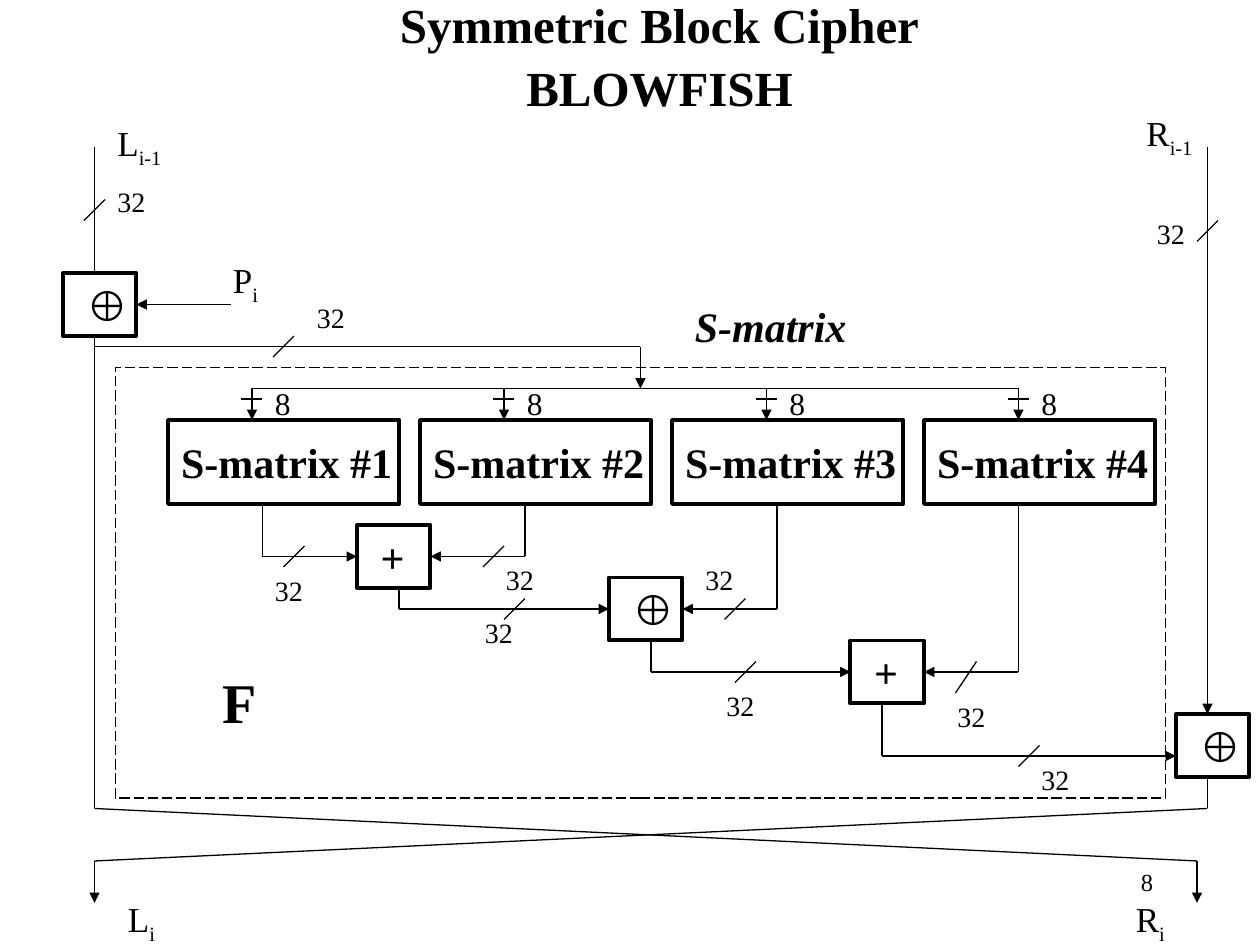
import pptx
import pptx.util
import pptx.dml.color
import pptx.enum.dml
import pptx.enum.shapes
import pptx.enum.text
import pptx.oxml.ns
from lxml import etree

PX = 9525
COLORS = {"ink": "000000", "paper": "FFFFFF"}
INK = pptx.dml.color.RGBColor.from_string(COLORS["ink"])
SERIF = "Times New Roman"
ALIGN = pptx.enum.text.PP_ALIGN
qn = pptx.oxml.ns.qn

prs = pptx.Presentation()
prs.slide_width, prs.slide_height = 960 * PX, 720 * PX
s = prs.slides.add_slide(prs.slide_layouts[5])
s.background.fill.solid()
s.background.fill.fore_color.rgb = pptx.dml.color.RGBColor.from_string(COLORS["paper"])


def add_text(x, y, w, h, text, size, sub="", bold=False, italic=False, align=ALIGN.LEFT):
    sp = s.shapes.add_textbox(x * PX, y * PX, w * PX, h * PX)
    sp.text_frame.word_wrap = True
    p = sp.text_frame.paragraphs[0]
    p.text = text
    p.alignment = align
    if sub:
        r = p.add_run()
        r.text = sub
        r._r.get_or_add_rPr().set("baseline", "-25000")
    for r in p.runs:
        r.font.name, r.font.size, r.font.color.rgb = SERIF, pptx.util.Pt(size), INK
        r.font.bold, r.font.italic = bold, italic


def add_path(*points, arrow=False):
    for (x1, y1), (x2, y2) in zip(points, points[1:]):
        c = s.shapes.add_connector(pptx.enum.shapes.MSO_CONNECTOR.STRAIGHT,
                                   x1 * PX, y1 * PX, x2 * PX, y2 * PX)
        c.line.color.rgb, c.line.width = INK, pptx.util.Pt(0.75)
        etree.SubElement(c._element.spPr, qn("a:effectLst"))
    if arrow:
        etree.SubElement(c.line._get_or_add_ln(), qn("a:tailEnd"), type="triangle")


title = s.shapes.title
title.left, title.top, title.width, title.height = 295 * PX, 0, 415 * PX, 93 * PX
tf = title.text_frame
tf.text = "Symmetric Block Cipher\nBLOWFISH"
tf.auto_size = pptx.enum.text.MSO_AUTO_SIZE.NONE
tf.vertical_anchor = pptx.enum.text.MSO_ANCHOR.TOP
tf.word_wrap = False
for p in tf.paragraphs:
    p.alignment, p.line_spacing = ALIGN.CENTER, 0.8
    f = p.runs[0].font
    f.name, f.size, f.bold, f.color.rgb = SERIF, pptx.util.Pt(28), True, INK
tf.paragraphs[1].space_before = pptx.util.Pt(8.8)

boxes = [(128 + 192 * i, 320, 176, 64, f"S-matrix #{i + 1}", SERIF, 10) for i in range(4)]
operators = [(48, 208, "⊕"), (272, 400, "+"), (464, 440, "⊕"), (648, 488, "+"), (896, 544, "⊕")]
boxes += [(x, y, 56, 48, sign, "Arial" if sign == "⊕" else SERIF, 18) for x, y, sign in operators]
boxes.append((88, 280, 800, 328, "", SERIF, 10))
for x, y, w, h, text, font, inset in boxes:
    sp = s.shapes.add_shape(pptx.enum.shapes.MSO_SHAPE.RECTANGLE, x * PX, y * PX, w * PX, h * PX)
    sp.shadow.inherit = False
    sp.fill.background()
    sp.line.color.rgb = INK
    if not text:
        sp.line.width = pptx.util.Pt(0.75)
        sp.line.dash_style = pptx.enum.dml.MSO_LINE.LONG_DASH
        continue
    sp.line.width = pptx.util.Pt(2.25)
    tf = sp.text_frame
    tf.word_wrap = True
    tf.vertical_anchor = pptx.enum.text.MSO_ANCHOR.MIDDLE
    tf.margin_left, tf.margin_right = inset * PX, 0
    p = tf.paragraphs[0]
    p.text = text
    p.alignment = ALIGN.LEFT
    f = p.runs[0].font
    f.name, f.size, f.bold, f.color.rgb = font, pptx.util.Pt(24), True, INK

arrows = [
    [(200, 384), (200, 424), (272, 424)],
    [(400, 384), (400, 424), (328, 424)],
    [(304, 448), (304, 464), (464, 464)],
    [(592, 384), (592, 464), (520, 464)],
    [(496, 488), (496, 512), (648, 512)],
    [(776, 384), (776, 512), (704, 512)],
    [(672, 536), (672, 576), (896, 576)],
    [(176, 232), (104, 232)],
    [(72, 264), (488, 264), (488, 296)],
    [(920, 112), (920, 544)],
    [(72, 256), (72, 616), (912, 656), (912, 688)],
    [(920, 592), (920, 616), (72, 656), (72, 688)],
]
for points in arrows:
    add_path(*points, arrow=True)
add_path((72, 112), (72, 208))
add_path((192, 296), (776, 296))

for x in (192, 384, 584, 776):
    add_path((x, 296), (x, 320), arrow=True)
    add_path((x + 8, 304), (x - 8, 304))
    add_text(x + 8, 288, 56, 38, "8", 18)

slashes = [(64, 152, 16), (208, 256, 16), (216, 416, 16), (368, 416, 16), (384, 456, 16),
           (552, 456, 16), (560, 504, 16), (728, 504, 24), (912, 168, 16), (776, 568, 16)]
for x, y, h in slashes:
    add_path((x + 16, y), (x, y + h))

widths = [(80, 136), (232, 224), (200, 432), (376, 424), (360, 464),
          (528, 424), (544, 520), (720, 528), (872, 160), (784, 576)]
for x, y in widths:
    add_text(x, y, 64, 35, "32", 16)

halves = [(80, 88, "L", "i-1"), (864, 80, "R", "i-1"), (168, 192, "P", "i"),
          (88, 679, "L", "i"), (856, 679, "R", "i")]
for x, y, name, sub in halves:
    add_text(x, y, 104, 46, name, 20, sub=sub)

add_text(160, 504, 128, 61, "F", 32, bold=True)
add_text(520, 224, 248, 48, "S-matrix", 24, bold=True, italic=True)
add_text(688, 656, 200, 48, "8", 14, align=ALIGN.RIGHT)

prs.save("out.pptx")
